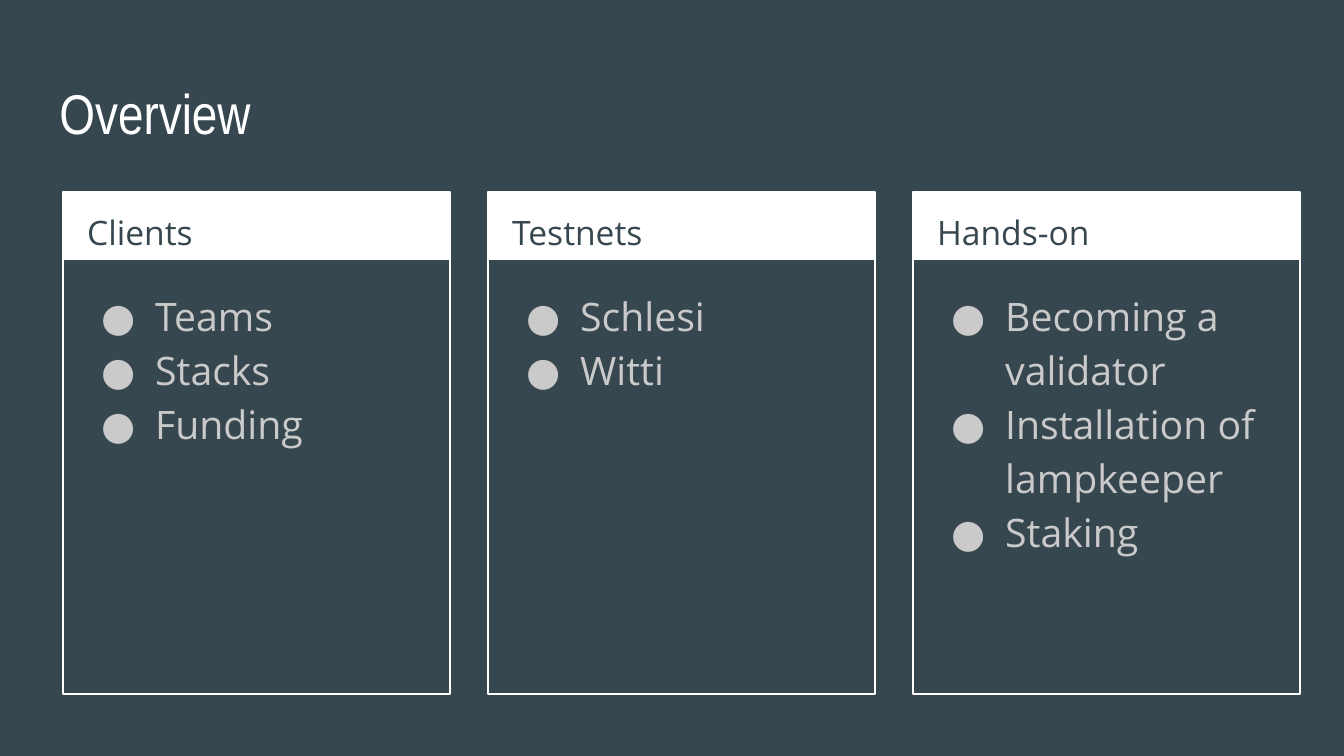
from pptx import Presentation, util as u
from pptx.dml.color import RGBColor
from pptx.enum import shapes, text
from pptx.oxml.xmlchemy import OxmlElement

SCALE = 9144000 / 1344
COLORS = {"slate": "37474F", "white": "FFFFFF", "grey": "CACACA"}
CARDS = [
    ("Clients", ["Teams", "Stacks", "Funding"]),
    ("Testnets", ["Schlesi", "Witti"]),
    ("Hands-on", ["Becoming a validator", "Installation of lampkeeper", "Staking"]),
]


def px(n):
    return u.Emu(round(n * SCALE))


def color(name):
    return RGBColor.from_string(COLORS[name])


def write(tf, lines, size, font, ink, spacing):
    tf.word_wrap = True
    tf.auto_size = text.MSO_AUTO_SIZE.NONE
    tf.vertical_anchor = text.MSO_ANCHOR.TOP
    tf.margin_left = tf.margin_right = tf.margin_top = tf.margin_bottom = u.Inches(0.1)
    tf.text = "\n".join(lines)
    for p in tf.paragraphs:
        p.alignment = text.PP_ALIGN.LEFT
        p.line_spacing = spacing
        p.space_before = p.space_after = u.Pt(0)
        for r in p.runs:
            r.font.size = u.Pt(size)
            r.font.name = font
            r.font.color.rgb = color(ink)


def add_bullet(p):
    pPr = p._p.get_or_add_pPr()
    pPr.set("marL", str(px(67)))
    pPr.set("indent", str(px(-54)))
    buClr = OxmlElement("a:buClr")
    clr = OxmlElement("a:srgbClr")
    clr.set("val", COLORS["grey"])
    buClr.append(clr)
    buFont = OxmlElement("a:buFont")
    buFont.set("typeface", "Open Sans")
    buChar = OxmlElement("a:buChar")
    buChar.set("char", "●")
    for el in (buClr, buFont, buChar):
        pPr.append(el)


def add_rect(parent, x, y, w, h):
    sp = parent.shapes.add_shape(shapes.MSO_SHAPE.RECTANGLE, px(x), px(y), px(w), px(h))
    sp.shadow.inherit = False
    return sp


def add_title(s, x, y, w, h):
    sp = s.shapes.title
    sp.left, sp.top, sp.width, sp.height = px(x), px(y), px(w), px(h)
    write(sp.text_frame, ["Overview"], 30, "Arial Narrow", "white", 1.0)


def add_card(s, x, y, w, h, heading, items):
    group = s.shapes.add_group_shape()
    header = add_rect(group, x, y, w, 68)
    header.fill.solid()
    header.fill.fore_color.rgb = color("white")
    header.line.fill.background()
    frame = add_rect(group, x, y, w, h)
    frame.fill.background()
    frame.line.color.rgb = color("white")
    frame.line.width = u.Pt(0.75)

    sp = s.shapes.add_textbox(px(x + 11), px(y), px(w - 20), px(67))
    write(sp.text_frame, [heading], 18, "Open Sans", "slate", 1.15)
    sp = s.shapes.add_textbox(px(x + 12), px(y + 80), px(w - 23), px(h - 92))
    write(sp.text_frame, items, 21, "Open Sans", "grey", 1.15)
    for p in sp.text_frame.paragraphs:
        add_bullet(p)


def main():
    prs = Presentation()
    prs.slide_width, prs.slide_height = px(1344), px(756)
    s = prs.slides.add_slide(prs.slide_layouts[5])
    s.background.fill.solid()
    s.background.fill.fore_color.rgb = color("slate")
    add_title(s, 46, 65, 1253, 85)
    for i, (heading, items) in enumerate(CARDS):
        add_card(s, 63 + 425 * i, 192, 387, 502, heading, items)
    prs.save("out.pptx")


if __name__ == "__main__":
    main()
